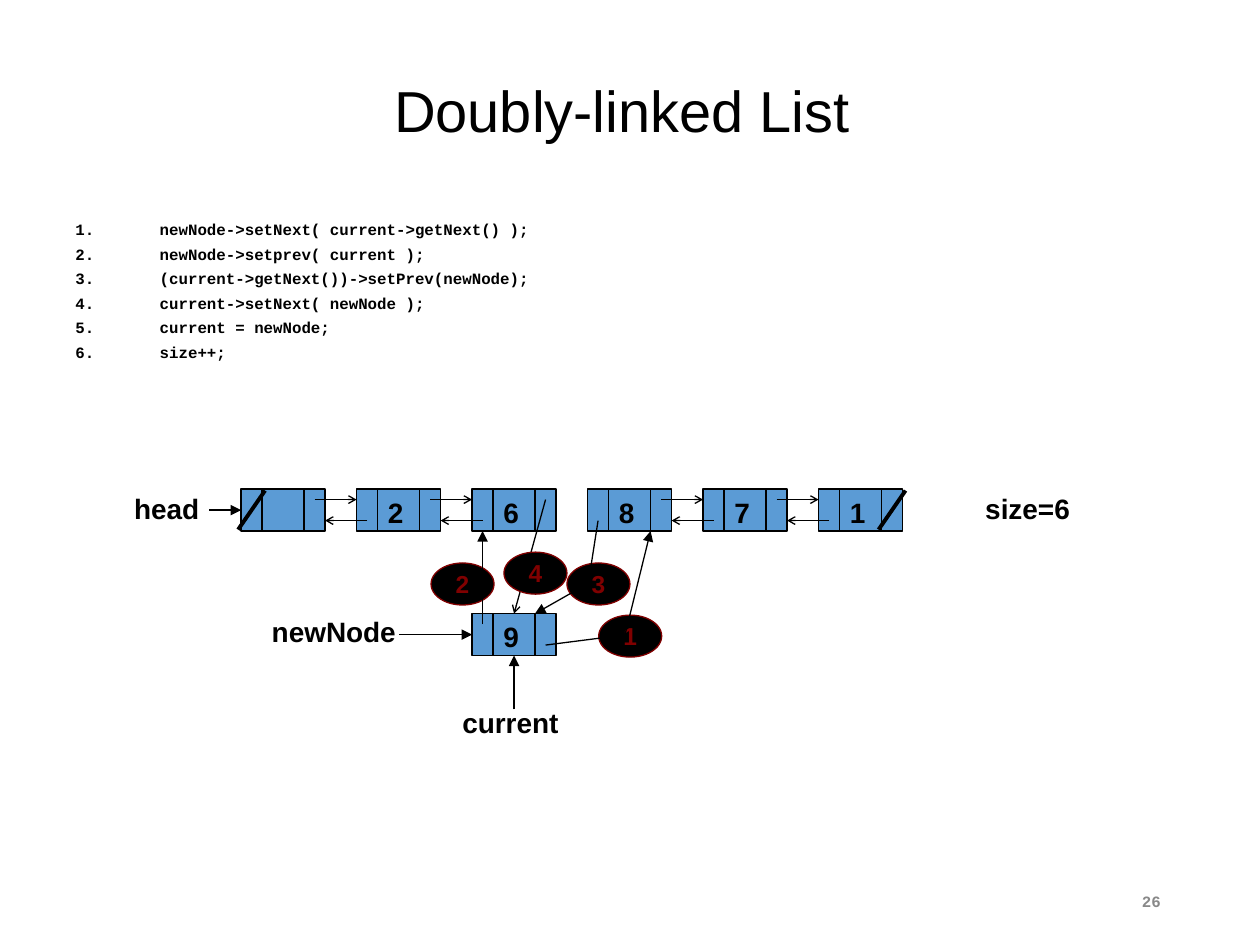
import pptx
import pptx.dml.color
import pptx.enum.shapes
import pptx.enum.text
import pptx.oxml.ns
import pptx.util
from lxml import etree

Cm = pptx.util.Cm
Pt = pptx.util.Pt
RGBColor = pptx.dml.color.RGBColor
SHAPE = pptx.enum.shapes.MSO_SHAPE
ALIGN = pptx.enum.text.PP_ALIGN
ANCHOR = pptx.enum.text.MSO_ANCHOR
AUTO_SIZE = pptx.enum.text.MSO_AUTO_SIZE
qn = pptx.oxml.ns.qn

BLACK = RGBColor(0x00, 0x00, 0x00)
BLUE = RGBColor(0x5B, 0x9B, 0xD5)
MAROON = RGBColor(0x80, 0x00, 0x00)
GRAY = RGBColor(0x89, 0x89, 0x89)

U = 2.54 / 12
NODE_W, NODE_H, STEP = 8 * U, 4 * U, 11 * U
LIST_X, LIST_Y = 4.86, 9.86
NEW_X, NEW_Y = LIST_X + 2 * STEP, 12.37

VALUES = ["", "2", "6", "8", "7", "1"]
LINKED = [0, 1, 3, 4]
CODE = [
    "newNode->setNext( current->getNext() );",
    "newNode->setprev( current );",
    "(current->getNext())->setPrev(newNode);",
    "current->setNext( newNode );",
    "current = newNode;",
    "size++;",
]
STEPS = [("1", 12.07, 12.4), ("2", 8.69, 11.35), ("3", 11.43, 11.35), ("4", 10.16, 11.13)]
LABELS = [
    ("size=6", 19.51, 9.78, 2.41),
    ("head", 2.36, 9.78, 2.0),
    ("current", 8.97, 14.1, 2.64),
    ("newNode", 5.13, 12.27, 3.2),
]


def write(tf, text, size=16, font="Arial", color=BLACK, bold=True, align=ALIGN.LEFT,
          anchor=ANCHOR.TOP, wrap=True, spacing=None, before=0, numbered=False):
    tf.word_wrap = wrap
    if not wrap:
        tf.auto_size = AUTO_SIZE.SHAPE_TO_FIT_TEXT
    tf.vertical_anchor = anchor
    for i, line in enumerate(text.split("\n")):
        p = tf.add_paragraph() if i else tf.paragraphs[0]
        if numbered:
            pPr = p._p.get_or_add_pPr()
            pPr.set("marL", str(Cm(1.7)))
            pPr.set("indent", str(-Cm(1.7)))
            etree.SubElement(pPr, qn("a:buFont"), typeface=font)
            etree.SubElement(pPr, qn("a:buAutoNum"), type="arabicPeriod")
        p.alignment = align
        if spacing:
            p.line_spacing = spacing
        if before and i:
            p.space_before = Pt(before)
        r = p.add_run()
        r.text = line
        r.font.size, r.font.name, r.font.bold = Pt(size), font, bold
        r.font.color.rgb = color


def add_text(s, text, x, y, w, h, **fmt):
    sp = s.shapes.add_textbox(Cm(x), Cm(y), Cm(w), Cm(h))
    write(sp.text_frame, text, **fmt)


def add_box(s, kind, x, y, w, h, fill, line):
    sp = s.shapes.add_shape(kind, Cm(x), Cm(y), Cm(w), Cm(h))
    sp.shadow.inherit = False
    sp.fill.solid()
    sp.fill.fore_color.rgb = fill
    sp.line.color.rgb = line
    sp.line.width = Pt(0.75)
    return sp


def style_line(sp, width, head):
    sp.line.color.rgb = BLACK
    sp.line.width = Pt(width)
    if head:
        size = "sm" if head == "arrow" else "med"
        etree.SubElement(sp.line._get_or_add_ln(), qn("a:tailEnd"), type=head, w=size, len=size)


def add_line(s, x1, y1, x2, y2, width=0.75, head=None, target=None, site=0):
    c = s.shapes.add_connector(pptx.enum.shapes.MSO_CONNECTOR.STRAIGHT,
                               Cm(x1), Cm(y1), Cm(x2), Cm(y2))
    style_line(c, width, head)
    etree.SubElement(c._element.spPr, qn("a:effectLst"))
    if target is not None:
        c.end_connect(target, site)


def add_bent_arrow(s, points):
    start, *rest = [(Cm(x), Cm(y)) for x, y in points]
    builder = s.shapes.build_freeform(*start, scale=1.0)
    builder.add_line_segments(rest, close=False)
    sp = builder.convert_to_shape()
    sp.shadow.inherit = False
    sp.fill.background()
    style_line(sp, 0.75, "triangle")


def add_node(s, x, y, value):
    sp = add_box(s, SHAPE.RECTANGLE, x, y, NODE_W, NODE_H, BLUE, BLACK)
    for divider in (x + 2 * U, x + 6 * U):
        add_line(s, divider, y, divider, y + NODE_H)
    if value:
        add_text(s, value, x + 2 * U - 0.04, y, 0.85, 0.94)
    return sp


def add_null_mark(s, x):
    add_line(s, x + 2 * U + 0.06, LIST_Y + 0.03, x - 0.06, LIST_Y + NODE_H - 0.03, width=2.25)


def add_links(s, x):
    next_x = x + STEP
    add_line(s, x + 7 * U, LIST_Y + U, next_x, LIST_Y + U, head="arrow")
    add_line(s, next_x + U, LIST_Y + 3 * U, x + NODE_W, LIST_Y + 3 * U, head="arrow")


def add_step(s, number, x, y):
    sp = add_box(s, SHAPE.OVAL, x, y, 6 * U, 4 * U, BLACK, MAROON)
    tf = sp.text_frame
    tf.margin_left = tf.margin_right = tf.margin_top = tf.margin_bottom = 0
    write(tf, number, size=14, color=MAROON, align=ALIGN.CENTER, anchor=ANCHOR.MIDDLE)


def main():
    prs = pptx.Presentation()
    prs.slide_width, prs.slide_height = Cm(25.4), Cm(19.05)
    s = prs.slides.add_slide(prs.slide_layouts[6])

    add_text(s, "Doubly-linked List ", 1.27, 1.02, 22.86, 2.54, size=33, bold=False,
             align=ALIGN.CENTER, anchor=ANCHOR.MIDDLE, spacing=0.9)
    add_text(s, "\n".join(CODE), 1.27, 4.45, 22.86, 3.18, size=9, font="Courier New",
             spacing=0.6, before=7.5, numbered=True)
    for text, x, y, w in LABELS:
        add_text(s, text, x, y, w, 0.94, align=ALIGN.CENTER, wrap=False)

    xs = [LIST_X + i * STEP for i in range(len(VALUES))]
    nodes = [add_node(s, x, LIST_Y, value) for x, value in zip(xs, VALUES)]
    for i in LINKED:
        add_links(s, xs[i])
    add_null_mark(s, xs[0])
    add_null_mark(s, xs[-1] + 6 * U)
    new_node = add_node(s, NEW_X, NEW_Y, "9")

    list_mid, new_mid = LIST_Y + NODE_H / 2, NEW_Y + NODE_H / 2
    center = NEW_X + NODE_W / 2
    add_line(s, 4.22, list_mid, LIST_X, list_mid, head="triangle", target=nodes[0], site=1)
    add_line(s, 8.05, new_mid, NEW_X, new_mid, head="triangle", target=new_node, site=1)
    add_line(s, center, 14.3, center, NEW_Y + NODE_H, head="triangle", target=new_node, site=2)
    add_line(s, NEW_X + 7 * U, LIST_Y + U, center, NEW_Y, head="arrow", target=new_node, site=0)

    for step in STEPS:
        add_step(s, *step)
    add_line(s, NEW_X + U, NEW_Y + U, NEW_X + U, LIST_Y + NODE_H, head="triangle")
    add_bent_arrow(s, [(NEW_X + 7 * U, NEW_Y + 3 * U), (12.6, 12.8),
                       (xs[3] + 6 * U, LIST_Y + NODE_H)])
    add_bent_arrow(s, [(xs[3] + U, LIST_Y + 3 * U), (11.86, 11.76), (NEW_X + 6 * U, NEW_Y)])

    add_text(s, "26", 17.93, 17.65, 5.72, 1.02, size=9, font="Courier New", color=GRAY,
             align=ALIGN.RIGHT, anchor=ANCHOR.MIDDLE)
    prs.save("out.pptx")


if __name__ == "__main__":
    main()
